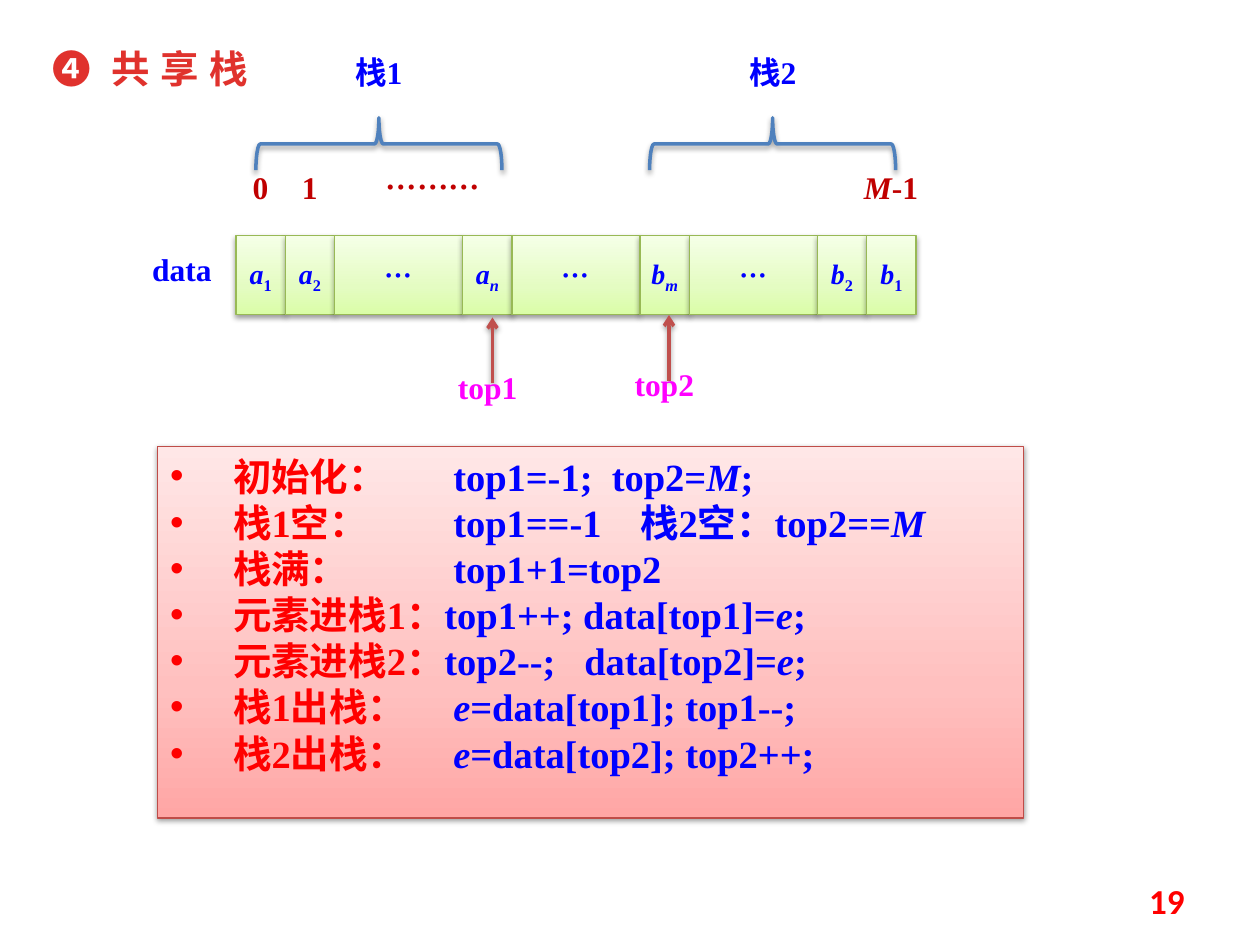
from lxml import etree
from pptx import Presentation
from pptx.dml.color import RGBColor
from pptx.enum.shapes import MSO_CONNECTOR, MSO_SHAPE
from pptx.enum.text import MSO_ANCHOR, MSO_AUTO_SIZE, PP_ALIGN
from pptx.oxml import parse_xml
from pptx.oxml.ns import nsdecls, qn
from pptx.util import Pt

RECT, BRACE = MSO_SHAPE.RECTANGLE, MSO_SHAPE.LEFT_BRACE
STRAIGHT = MSO_CONNECTOR.STRAIGHT
TOP, MIDDLE = MSO_ANCHOR.TOP, MSO_ANCHOR.MIDDLE
LEFT, CENTER, RIGHT = PP_ALIGN.LEFT, PP_ALIGN.CENTER, PP_ALIGN.RIGHT
NO_FIT = MSO_AUTO_SIZE.NONE

LATIN, CJK = "Times New Roman", "Noto Sans CJK SC"
BLUE, RED, DARK_RED, PINK = "0000FF", "FF0000", "C00000", "FF00FF"
GREEN_FILL = ("DAFDA7", "E4FCC2", "F5FFE7")
PINK_FILL = ("FFA6A5", "FFC0BF", "FFE7E7")
SPACE = 5.5  # width of a space in 22 pt Times


def rgb(value):
    return RGBColor.from_string(value)


def place(sp, box):
    sp.left, sp.top, sp.width, sp.height = map(Pt, box)


def add_run(p, text, color, size=18, bold=True, italic=False, name=LATIN,
            base=None, spacing=None):
    r = p.add_run()
    r.text = text
    for key, value in dict(size=Pt(size), bold=bold, italic=italic, name=name).items():
        setattr(r.font, key, value)
    r.font.color.rgb = rgb(color)
    rPr = r._r.get_or_add_rPr()
    etree.SubElement(rPr, qn("a:ea")).set("typeface", CJK)
    for key, value in (("baseline", base), ("spc", spacing)):
        if value is not None:
            rPr.set(key, str(round(value)))


def add_gap(p, width, color, size=22):
    """One space, widened by letter spacing to the given width."""
    add_run(p, " ", color, size, spacing=(width - SPACE) * 100)


def setup_text(sp, inset=(0, 0, 0, 0), anchor=TOP, align=CENTER):
    tf = sp.text_frame
    sides = ("margin_left", "margin_top", "margin_right", "margin_bottom")
    fmt = dict(zip(sides, map(Pt, inset)), word_wrap=True, auto_size=NO_FIT,
               vertical_anchor=anchor)
    for key, value in fmt.items():
        setattr(tf, key, value)
    tf.paragraphs[0].alignment = align
    return tf.paragraphs[0]


def add_shadow(sp):
    sp._element.spPr.append(parse_xml(
        f'<a:effectLst {nsdecls("a")}><a:outerShdw blurRad="40000" dist="20000" '
        'dir="5400000" rotWithShape="0"><a:srgbClr val="000000">'
        '<a:alpha val="38000"/></a:srgbClr></a:outerShdw></a:effectLst>'))


def set_line(sp, color, width):
    sp.line.color.rgb = rgb(color)
    sp.line.width = Pt(width)


def style_panel(sp, colors, line):
    """Upward three-stop gradient, thin outline and shadow."""
    stops = "".join(f'<a:gs pos="{pos}000"><a:srgbClr val="{c}"/></a:gs>'
                    for pos, c in zip((0, 35, 100), colors))
    sp._element.spPr.append(parse_xml(
        f'<a:gradFill {nsdecls("a")} rotWithShape="1"><a:gsLst>{stops}</a:gsLst>'
        '<a:lin ang="16200000" scaled="1"/></a:gradFill>'))
    set_line(sp, line, 0.75)
    add_shadow(sp)


def add_label(shapes, box, text, color, **fmt):
    p = setup_text(shapes.add_textbox(*map(Pt, box)))
    add_run(p, text, color, **fmt)
    return p


def add_title(s, box):
    sp = s.shapes.title
    place(sp, box)
    p = setup_text(sp, (13.2, 3.6, 7.2, 3.6), TOP, LEFT)
    add_run(p, "❹", "E0322D", 22, spacing=50)
    add_gap(p, 2 * SPACE + 1, "E0322D")
    add_run(p, "共 享 栈", "E0322D", 22, spacing=50)


def add_array(s, box):
    """Row of cells with the index labels above and the name at left."""
    left, top, width, height = box
    narrow = 28.2
    wide = (width - 6 * narrow) / 3
    x = left
    for letter, sub in ("a1", "a2", "…", "an", "…", "bm", "…", "b2", "b1") and (
            ("a", "1"), ("a", "2"), ("…", ""), ("a", "n"), ("…", ""),
            ("b", "m"), ("…", ""), ("b", "2"), ("b", "1")):
        w = narrow if sub else wide
        cell = s.shapes.add_shape(RECT, Pt(x), Pt(top), Pt(w), Pt(height))
        style_panel(cell, GREEN_FILL, "98B955")
        p = setup_text(cell, (0, 3.6, 0, 3.6), MIDDLE)
        add_run(p, letter, BLUE, 16, italic=bool(sub), name=LATIN if sub else CJK)
        if sub:
            add_run(p, sub, BLUE, 16, italic=sub.isalpha(), base=-25000)
        x += w

    y = top - 39
    add_label(s.shapes, (left + 5.6, y, 16.8, 24), "0", DARK_RED)
    add_label(s.shapes, (left + 33.8, y, 16.8, 24), "1", DARK_RED)
    add_label(s.shapes, (left + 79, y, 67.5, 24), "………", DARK_RED, name=CJK)
    p = add_label(s.shapes, (left + 349, y, 50.6, 24), "M", DARK_RED, italic=True)
    add_run(p, "-1", DARK_RED)
    add_label(s.shapes, (left - 56.2, top + 8, 50.6, 24), "data", BLUE)


def add_brace(s, box, text):
    """Brace opening downward with its stack name above."""
    left, top, width, height = box
    shapes = s.shapes.add_group_shape().shapes
    mid = left + width / 2
    brace = shapes.add_shape(BRACE, *map(Pt, (
        mid - height / 2, top + height / 2 - width / 2, height, width)))
    brace.rotation = 90
    brace.fill.background()
    set_line(brace, "4F81BD", 2)
    add_shadow(brace)
    add_label(shapes, (mid - 25.3, top - 37, 50.6, 24), text, BLUE)


def add_pointer(s, box, text):
    """Upward arrow with its name below."""
    left, top, width, height = box
    shapes = s.shapes.add_group_shape().shapes
    x = left + 28
    arrow = shapes.add_connector(STRAIGHT, Pt(x), Pt(top + 37.5), Pt(x), Pt(top))
    set_line(arrow, "C0504D", 2)
    etree.SubElement(arrow.line._get_or_add_ln(), qn("a:tailEnd")).set("type", "arrow")
    add_shadow(arrow)
    add_label(shapes, (left, top + height - 24, width, 24), text, PINK)


def add_operations(s, box):
    """Bulleted rules: red label, gap in spaces, then blue code.

    Within the code a number is a gap in spaces; M and e are italic.
    """
    rules = (
        ("初始化：", 7, ("top1=-1;", 2, "top2=", "M", ";")),
        ("栈1空：", 9, ("top1==-1", 4, "栈2空：top2==", "M")),
        ("栈满：", 11, ("top1+1=top2",)),
        ("元素进栈1：", 0, ("top1++; data[top1]=", "e", ";")),
        ("元素进栈2：", 0, ("top2--;", 3, "data[top2]=", "e", ";")),
        ("栈1出栈：", 5, ("e", "=data[top1]; top1--;")),
        ("栈2出栈：", 5, ("e", "=data[top2]; top2++;")),
    )
    sp = s.placeholders[1]
    place(sp, box)
    style_panel(sp, PINK_FILL, "BF4C48")
    p = setup_text(sp, (7.2, 3.6, 7.2, 3.6), TOP, LEFT)
    for i, (label, gap, code) in enumerate(rules):
        if i:
            p = sp.text_frame.add_paragraph()
        pPr = p._p.get_or_add_pPr()
        pPr.set("marL", str(Pt(36)))
        pPr.set("indent", str(-Pt(36)))
        etree.SubElement(pPr, qn("a:buFont")).set("typeface", "Arial")
        etree.SubElement(pPr, qn("a:buChar")).set("char", "•")
        p.space_before = Pt(0)
        add_run(p, label, RED, 22)
        if gap:
            add_gap(p, gap * SPACE, RED)
        for part in code:
            if isinstance(part, int):
                add_gap(p, part * SPACE, BLUE)
            else:
                add_run(p, part, BLUE, 22, italic=part in ("M", "e"))


def add_page_number(s, box):
    sp = s.shapes.add_textbox(*map(Pt, box))
    p = setup_text(sp, (7.2, 3.6, 7.2, 3.6), MIDDLE, RIGHT)
    add_run(p, "19", RED, 20, name="Calibri")


def main():
    prs = Presentation()
    prs.slide_width, prs.slide_height = Pt(720), Pt(540)
    s = prs.slides.add_slide(prs.slide_layouts[1])
    add_title(s, (16.6, 22.3, 152, 34.6))
    add_array(s, (134.8, 134.8, 388.6, 45))
    add_brace(s, (146.2, 67.3, 140.6, 30), "栈1")
    add_brace(s, (371.2, 67.3, 140.6, 30), "栈2")
    add_pointer(s, (253.4, 181.4, 50.6, 52.8), "top1")
    add_pointer(s, (354.3, 180, 50.6, 52.8), "top2")
    add_operations(s, (90, 255, 495, 212.4))
    add_page_number(s, (516, 500.4, 168, 28.8))
    prs.save("out.pptx")


if __name__ == "__main__":
    main()
